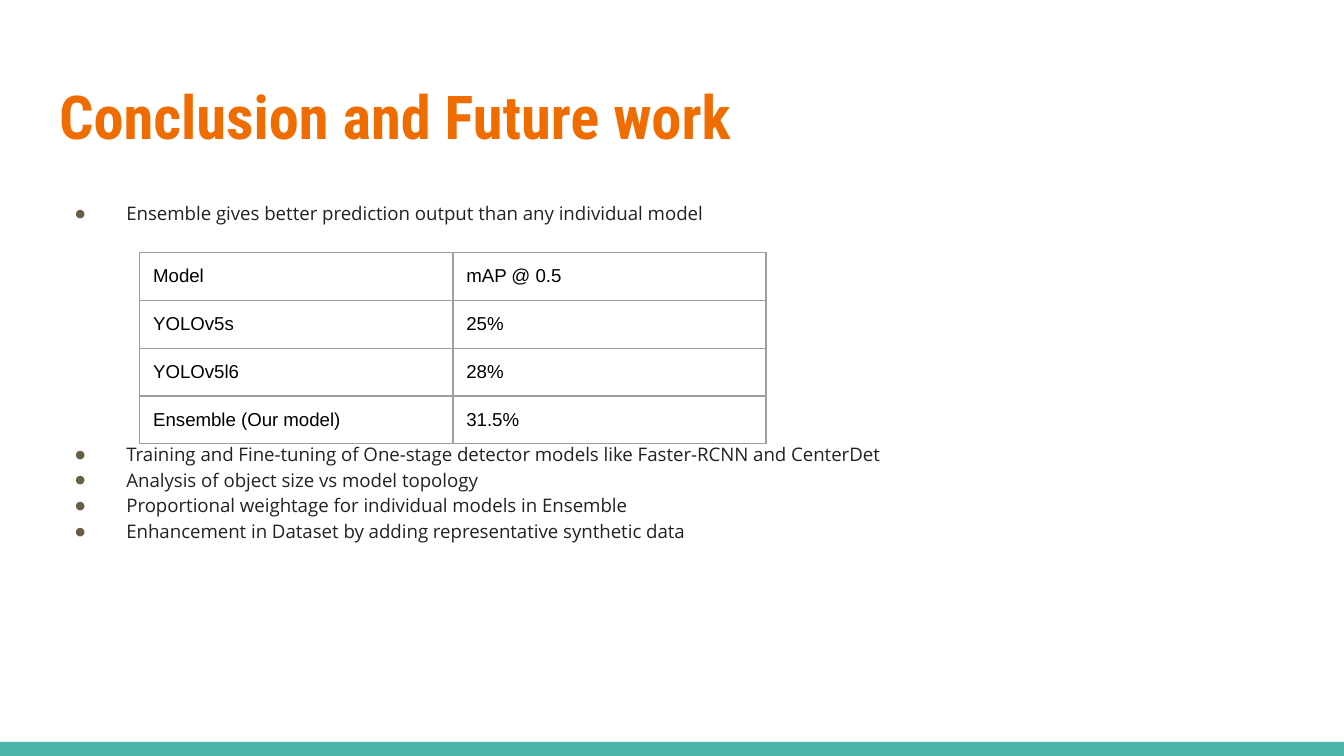
from dataclasses import dataclass

from lxml import etree
from pptx import Presentation
from pptx.dml.color import RGBColor as RGB
from pptx.enum.shapes import MSO_SHAPE as Shape
from pptx.enum.text import MSO_ANCHOR as Anchor, MSO_AUTO_SIZE as Fit, PP_ALIGN as Align
from pptx.oxml.ns import qn
from pptx.util import Inches, Pt


@dataclass(frozen=True)
class Theme:
    teal: str = "4DB6AC"
    orange: str = "EF6C00"
    ink: str = "222222"
    black: str = "000000"
    dot: str = "695D46"
    rule: str = "9E9E9E"
    head: str = "Roboto Condensed"
    text: str = "Open Sans"
    cell: str = "Arial"
    big: float = 32.4
    small: float = 10


THEME = Theme()
PAD = Inches(0.1)
FIRST = "Ensemble gives better prediction output than any individual model"
FUTURE = [
    "Training and Fine-tuning of One-stage detector models like Faster-RCNN and CenterDet",
    "Analysis of object size vs model topology",
    "Proportional weightage for individual models in Ensemble",
    "Enhancement in Dataset by adding representative synthetic data",
]
SCORES = [
    ("Model", "mAP @ 0.5"),
    ("YOLOv5s", "25%"),
    ("YOLOv5l6", "28%"),
    ("Ensemble (Our model)", "31.5%"),
]


def style(para, face, size, color, bold=False):
    font = para.font
    font.name, font.size, font.bold = face, Pt(size), bold
    font.color.rgb = RGB.from_string(color)
    para.alignment = Align.LEFT


def place(holder, left, top, width, height):
    holder.left, holder.top = Inches(left), Inches(top)
    holder.width, holder.height = Inches(width), Inches(height)
    frame = holder.text_frame
    frame.margin_left = frame.margin_right = PAD
    frame.margin_top = frame.margin_bottom = PAD
    frame.word_wrap, frame.auto_size = True, Fit.NONE
    frame.vertical_anchor = Anchor.TOP
    return frame


def add_bar(slide):
    bar = slide.shapes.add_shape(
        Shape.RECTANGLE, 0, Inches(5.52), Inches(10), Inches(0.11))
    bar.shadow.inherit = False
    bar.fill.solid()
    bar.fill.fore_color.rgb = RGB.from_string(THEME.teal)
    bar.line.fill.background()


def add_title(slide):
    frame = place(slide.shapes.title, 0.34, 0.49, 9.32, 0.77)
    frame.text = "Conclusion and Future work"
    style(frame.paragraphs[0], THEME.head, THEME.big, THEME.orange, True)


def set_bullet(para):
    """Add the dot; call before style, as the font must come last."""
    props = para._p.get_or_add_pPr()
    props.set("marL", str(Inches(0.5)))
    props.set("indent", str(Inches(-0.38)))
    color = etree.SubElement(props, qn("a:buClr"))
    etree.SubElement(color, qn("a:srgbClr"), val=THEME.dot)
    etree.SubElement(props, qn("a:buSzPct"), val="60000")
    etree.SubElement(props, qn("a:buFont"), typeface=THEME.text)
    etree.SubElement(props, qn("a:buChar"), char="●")


def add_list(slide):
    """Fill the body, leaving room for the table after the first point."""
    frame = place(slide.placeholders[1], 0.34, 1.38, 9.32, 3.61)
    frame.text = "\n".join([FIRST, *FUTURE])
    for para in frame.paragraphs:
        set_bullet(para)
        style(para, THEME.text, THEME.small, THEME.ink)
        para.line_spacing = 1.15
        para.space_before = para.space_after = Pt(0)
    frame.paragraphs[1].space_before = Pt(115)


def set_border(cell):
    props = cell._tc.get_or_add_tcPr()
    for i, side in enumerate(("lnL", "lnR", "lnT", "lnB")):
        line = etree.Element(qn(f"a:{side}"), w=str(Pt(0.75)))
        fill = etree.SubElement(line, qn("a:solidFill"))
        etree.SubElement(fill, qn("a:srgbClr"), val=THEME.rule)
        props.insert(i, line)


def add_scores(slide):
    rows, cols = len(SCORES), len(SCORES[0])
    table = slide.shapes.add_table(
        rows, cols, Inches(1.04), Inches(1.88),
        Inches(2.33 * cols), Inches(0.35 * rows)).table
    table.first_row = table.horz_banding = False
    for r, row in enumerate(SCORES):
        for c, text in enumerate(row):
            cell = table.cell(r, c)
            cell.text = text
            cell.margin_left = cell.margin_right = PAD
            cell.margin_top = cell.margin_bottom = PAD
            cell.fill.background()
            style(cell.text_frame.paragraphs[0], THEME.cell, THEME.small, THEME.black)
            set_border(cell)


def main():
    deck = Presentation()
    deck.slide_width = Inches(10)
    deck.slide_height = deck.slide_width * 9 // 16
    slide = deck.slides.add_slide(deck.slide_layouts[1])
    add_bar(slide)
    add_title(slide)
    add_list(slide)
    add_scores(slide)
    deck.save("out.pptx")


if __name__ == "__main__":
    main()
